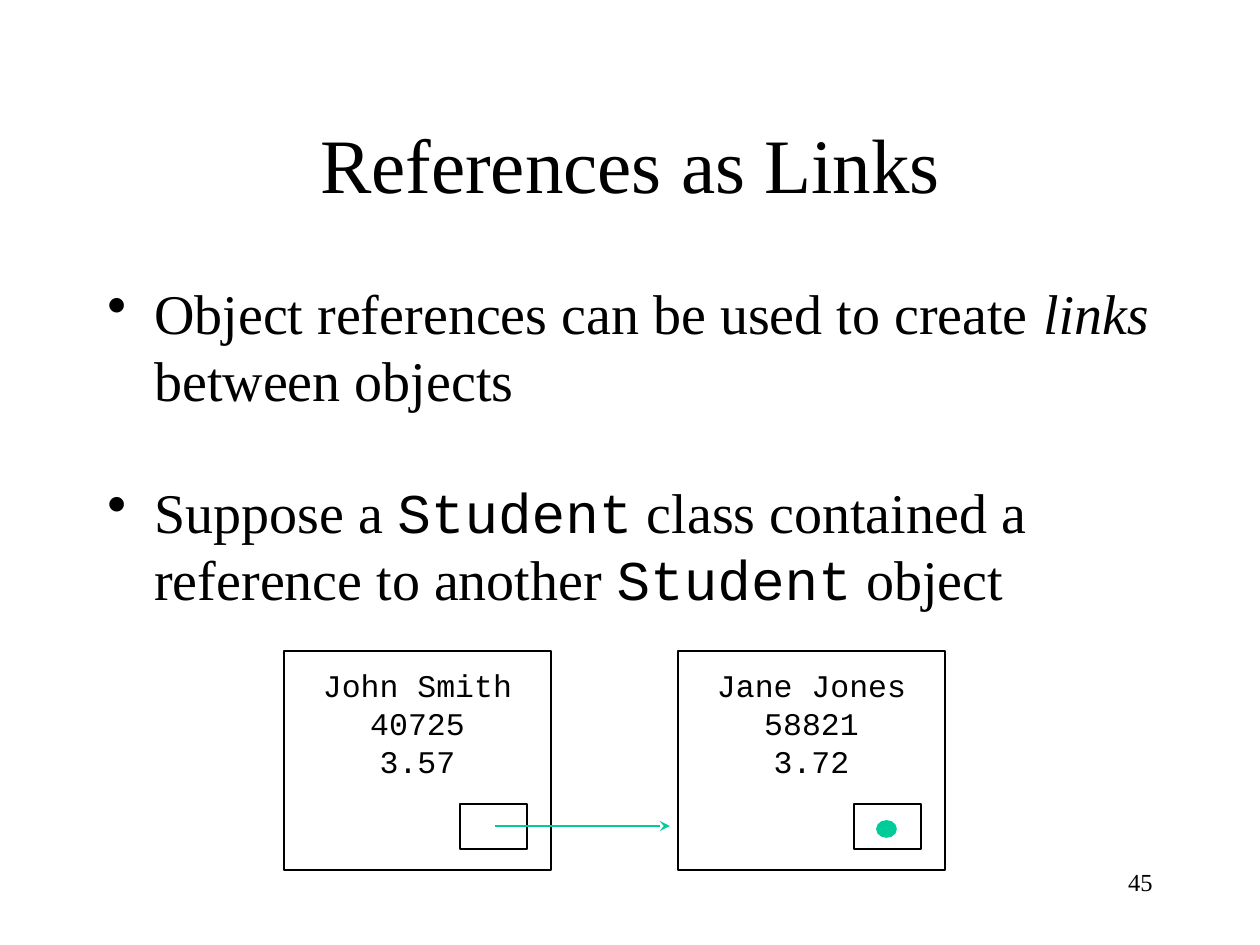
from pptx import Presentation, util as u
from pptx.dml.color import RGBColor
from pptx.enum import shapes as s, text as t
from lxml import etree

PX = 914400 / 126  # EMU in one px
NS = "http://schemas.openxmlformats.org/drawingml/2006/main"
SERIF, MONO = "Times New Roman", "Courier New"
BLACK, GREEN = "000000", "00CC99"


def px(*vals):
    return [round(v * PX) for v in vals]


def write(par, runs, **form):
    """Add (text, font changes) runs to a paragraph."""
    base = {"name": SERIF, "italic": False, **form}
    for words, diff in runs:
        run = par.add_run()
        run.text = words
        run.font.color.rgb = RGBColor.from_string(BLACK)
        for key, val in {**base, **diff}.items():
            setattr(run.font, key, val)


prs = Presentation()
prs.slide_width, prs.slide_height = px(1260, 945)
slide = prs.slides.add_slide(prs.slide_layouts[6])
draw = slide.shapes

# Title and page number
lines = [
    ((95, 84, 1071, 158), "References as Links", 44, t.PP_ALIGN.CENTER, t.MSO_ANCHOR.MIDDLE),
    ((903, 861, 262, 63), "45", 14, t.PP_ALIGN.RIGHT, t.MSO_ANCHOR.TOP),
]
for place, words, size, align, anchor in lines:
    frame = draw.add_textbox(*px(*place)).text_frame
    frame.word_wrap = True
    frame.vertical_anchor = anchor
    par = frame.paragraphs[0]
    par.alignment = align
    write(par, [(words, {})], size=u.Pt(size))

# Bullets
code = {"name": MONO}
points = [
    [("Object references can be used to create ", {}), ("links", {"italic": True}),
     (" between objects", {})],
    [("Suppose a ", {}), ("Student", code),
     (" class contained a reference to another ", {}), ("Student", code), (" object", {})],
]
frame = draw.add_textbox(*px(95, 273, 1071, 567)).text_frame
frame.word_wrap = True
for i, runs in enumerate(points):
    par = frame.add_paragraph() if i else frame.paragraphs[0]
    props = par._p.get_or_add_pPr()
    dent = px(47)[0]
    props.set("marL", str(dent))
    props.set("indent", str(-dent))
    etree.SubElement(props, f"{{{NS}}}buChar").set("char", "•")
    par.line_spacing = u.Pt(38.2)
    par.space_before = u.Pt(37 * i)
    write(par, runs, size=u.Pt(32))

# Student objects, each with a reference field
people = [("John Smith", "40725", "3.57"), ("Jane Jones", "58821", "3.72")]
for i, facts in enumerate(people):
    left = 284 + 394 * i
    card = draw.add_shape(s.MSO_SHAPE.RECTANGLE, *px(left, 651, 267, 219))
    field = draw.add_shape(s.MSO_SHAPE.RECTANGLE, *px(left + 176, 804, 67, 45))
    for box in (card, field):
        box.shadow.inherit = False
        box.fill.background()
        box.line.color.rgb = RGBColor.from_string(BLACK)
        box.line.width = u.Pt(1)
    frame = card.text_frame
    frame.word_wrap = False
    frame.vertical_anchor = t.MSO_ANCHOR.MIDDLE
    frame.margin_bottom = px(82)[0]  # keeps the text above the field
    for j, fact in enumerate(facts):
        par = frame.add_paragraph() if j else frame.paragraphs[0]
        par.alignment = t.PP_ALIGN.CENTER
        par.line_spacing = u.Pt(21.7)
        write(par, [(fact, {})], name=MONO, size=u.Pt(18))

# Link from John to Jane, and the dot of a reference that leads nowhere
link = draw.add_connector(s.MSO_CONNECTOR.STRAIGHT, *px(495, 826, 670, 826))
etree.SubElement(link._element.spPr, f"{{{NS}}}effectLst")
dot = draw.add_shape(s.MSO_SHAPE.OVAL, *px(877, 821, 19, 16))
dot.shadow.inherit = False
dot.fill.solid()
dot.fill.fore_color.rgb = RGBColor.from_string(GREEN)
for mark in (link, dot):
    mark.line.color.rgb = RGBColor.from_string(GREEN)
    mark.line.width = u.Pt(1)
etree.SubElement(link.line._get_or_add_ln(), f"{{{NS}}}tailEnd").set("type", "stealth")

prs.save("out.pptx")
